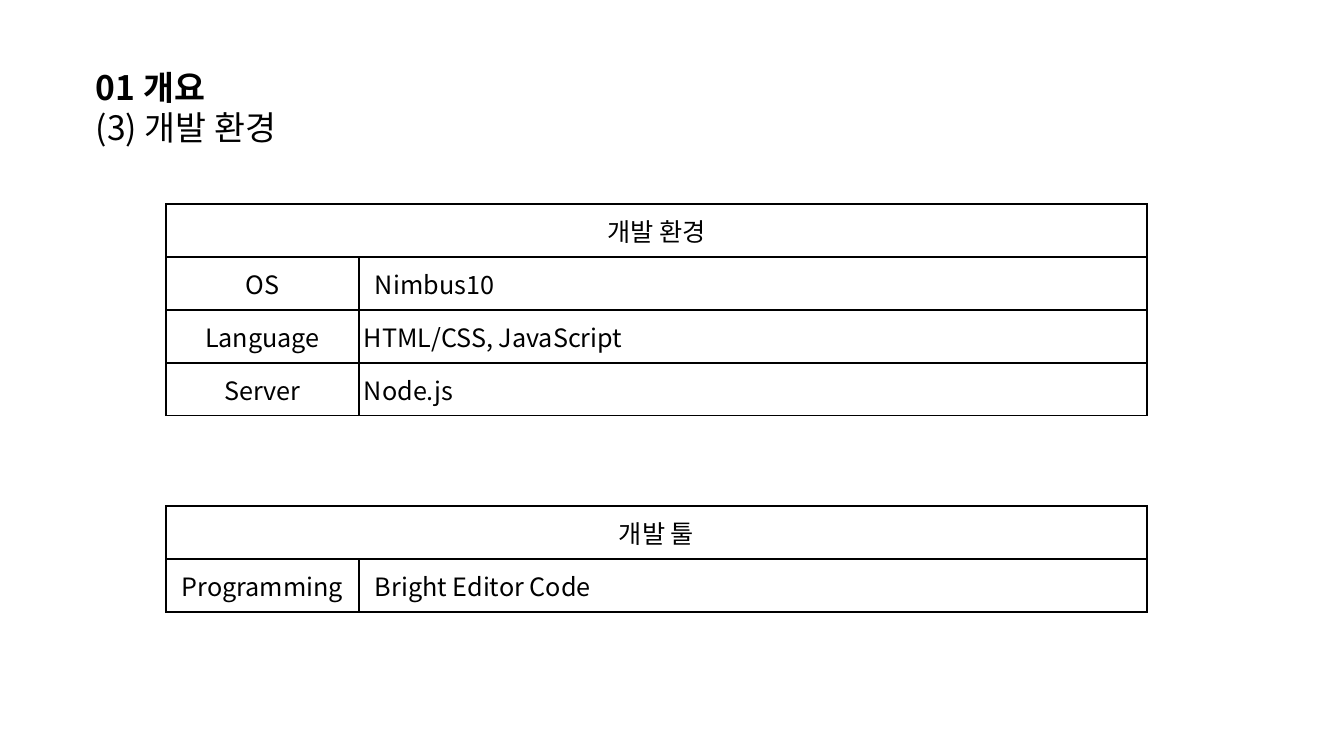
from dataclasses import dataclass

from lxml import etree
from pptx import Presentation
from pptx import util as u
from pptx.dml.color import RGBColor
from pptx.enum import text
from pptx.oxml import ns

EMU_PER_PX = 914400 / 100.8


def px(length):
    return u.Emu(round(length * EMU_PER_PX))


@dataclass(frozen=True)
class Theme:
    font: str = "Noto Sans CJK KR"
    ink: str = "000000"
    title_size: int = 24
    table_size: int = 18
    border_width: int = 1
    inset: int = 5
    indent: int = 11
    row_height: int = 53
    columns: tuple = (193, 788)


class Slide:
    def __init__(self, deck, theme):
        self.theme = theme
        self.page = deck.slides.add_slide(deck.slide_layouts[6])

    def style(self, para, content, size, bold=False):
        para.text = content
        font = para.font
        font.name, font.size, font.bold = self.theme.font, u.Pt(size), bold
        font.color.rgb = RGBColor.from_string(self.theme.ink)
        # Hangul takes its typeface from the East Asian slot
        latin = para._p.pPr.find(ns.qn("a:defRPr")).find(ns.qn("a:latin"))
        east_asian = etree.Element(ns.qn("a:ea"), typeface=self.theme.font)
        latin.addnext(east_asian)

    def inset(self, holder):
        for side in ("left", "right", "top", "bottom"):
            setattr(holder, f"margin_{side}", px(self.theme.inset))

    def heading(self, left, top, width, height, lines):
        box = self.page.shapes.add_textbox(*map(px, (left, top, width, height)))
        frame = box.text_frame
        frame.word_wrap = False
        frame.auto_size = text.MSO_AUTO_SIZE.SHAPE_TO_FIT_TEXT
        self.inset(frame)
        for index, (content, bold) in enumerate(lines):
            para = frame.add_paragraph() if index else frame.paragraphs[0]
            self.style(para, content, self.theme.title_size, bold)

    def border(self, cell):
        properties = cell._tc.get_or_add_tcPr()
        for index, side in enumerate(("lnL", "lnR", "lnT", "lnB")):
            line = etree.Element(ns.qn(f"a:{side}"), w=str(u.Pt(self.theme.border_width)))
            fill = etree.SubElement(line, ns.qn("a:solidFill"))
            etree.SubElement(fill, ns.qn("a:srgbClr"), val=self.theme.ink)
            properties.insert(index, line)

    def table(self, left, top, title, rows, indented):
        theme = self.theme
        count = len(rows) + 1
        frame = self.page.shapes.add_table(
            count, 2, px(left), px(top), px(sum(theme.columns)), px(count * theme.row_height))
        table = frame.table
        table.first_row = table.horz_banding = False
        for column, width in zip(table.columns, theme.columns):
            column.width = px(width)
        for row in table.rows:
            row.height = px(theme.row_height)

        for cell in table.iter_cells():
            cell.fill.background()
            cell.vertical_anchor = text.MSO_ANCHOR.MIDDLE
            self.inset(cell)
            self.border(cell)

        header = table.cell(0, 0)
        header.merge(table.cell(0, 1))
        self.label(header, title, text.PP_ALIGN.CENTER)
        for index, (name, value) in enumerate(rows, 1):
            self.label(table.cell(index, 0), name, text.PP_ALIGN.CENTER)
            self.label(table.cell(index, 1), value, text.PP_ALIGN.LEFT)
            if index in indented:
                table.cell(index, 1).margin_left = px(theme.inset + theme.indent)

    def label(self, cell, content, alignment):
        para = cell.text_frame.paragraphs[0]
        self.style(para, content, self.theme.table_size)
        para.alignment = alignment


def main():
    deck = Presentation()
    deck.slide_width, deck.slide_height = px(1344), px(756)
    slide = Slide(deck, Theme())

    # Section heading
    slide.heading(91, 62, 202, 89, [("01 개요", True), ("(3) 개발 환경", False)])

    # Development environment
    slide.table(166, 204, "개발 환경", [
        ("OS", "Nimbus10"),
        ("Language", "HTML/CSS, JavaScript"),
        ("Server", "Node.js"),
    ], indented={1})

    # Development tools
    slide.table(166, 506, "개발 툴", [("Programming", "Bright Editor Code")], indented={1})

    deck.save("out.pptx")


if __name__ == "__main__":
    main()
